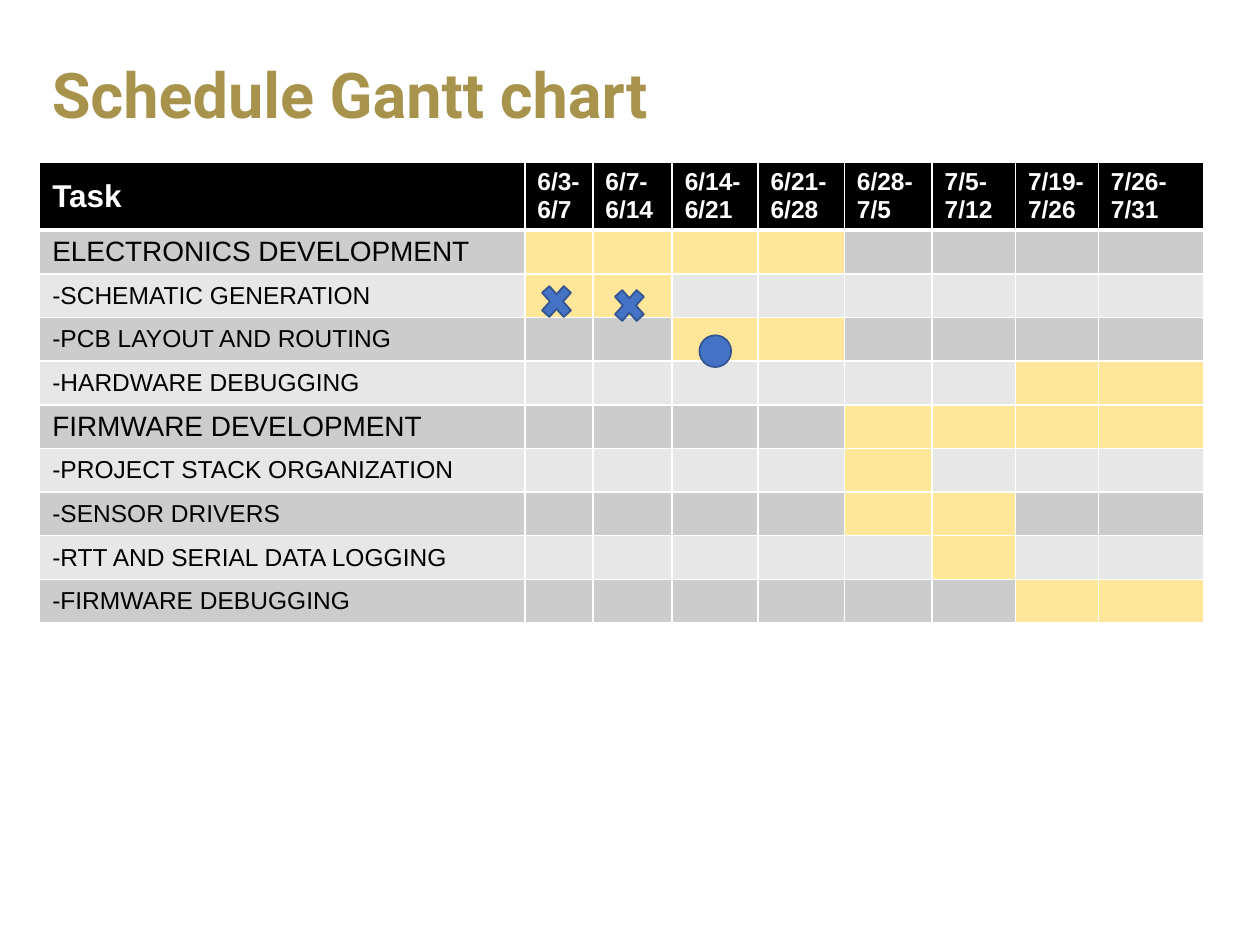
"""Build a one-slide project schedule as a Gantt table with progress markers."""
from lxml import etree
from pptx import Presentation
from pptx.dml.color import RGBColor
from pptx.enum.shapes import MSO_SHAPE
from pptx.enum.text import MSO_ANCHOR, MSO_AUTO_SIZE, PP_ALIGN
from pptx.oxml.ns import qn
from pptx.util import Cm, Pt

CROSS, DOT = MSO_SHAPE.MATH_MULTIPLY, MSO_SHAPE.OVAL
MIDDLE, LEFT, NO_FIT = MSO_ANCHOR.MIDDLE, PP_ALIGN.LEFT, MSO_AUTO_SIZE.NONE

WEEKS = ["6/3-6/7", "6/7-6/14", "6/14-6/21", "6/21-6/28",
         "6/28-7/5", "7/5-7/12", "7/19-7/26", "7/26-7/31"]
TASKS = [
    ("ELECTRONICS DEVELOPMENT", 1, 4),
    ("-SCHEMATIC GENERATION", 1, 2),
    ("-PCB LAYOUT AND ROUTING", 3, 4),
    ("-HARDWARE DEBUGGING", 7, 8),
    ("FIRMWARE DEVELOPMENT", 5, 8),
    ("-PROJECT STACK ORGANIZATION", 5, 5),
    ("-SENSOR DRIVERS", 5, 6),
    ("-RTT AND SERIAL DATA LOGGING", 6, 6),
    ("-FIRMWARE DEBUGGING", 7, 8),
]
WIDTHS = [9.78, 1.37, 1.6, 1.73, 1.74, 1.77, 1.68, 1.67, 2.13]
HEADER_HEIGHT, ROW_HEIGHT = 1.37, 0.88
MARKERS = [
    (CROSS, 10.8, 5.61, 0.84, 0.94),
    (CROSS, 12.27, 5.69, 0.84, 0.94),
    (DOT, 14.1, 6.76, 0.64, 0.64),
]


def color(value):
    return RGBColor.from_string(value)


class GanttSlide:
    """Holds the style and the current slide."""

    title_font, body_font = "Roboto", "Arial"
    gold, white, black = "A7934B", "FFFFFF", "000000"
    bands = ("CCCCCC", "E7E7E7")
    active, marker_fill, marker_line = "FFE699", "4472C4", "325491"

    def __init__(self, deck):
        self.page = deck.slides.add_slide(deck.slide_layouts[5])

    def add_span(self, para, text, size, font, ink, bold):
        span = para.add_run()
        span.text = text
        span.font.size = Pt(size)
        span.font.name = font
        span.font.bold = bold
        span.font.color.rgb = color(ink)

    def title(self, text, left, top, width, height):
        box = self.page.shapes.title
        box.left, box.top, box.width, box.height = map(Cm, (left, top, width, height))
        frame = box.text_frame
        frame.auto_size = NO_FIT
        frame.vertical_anchor = MIDDLE
        para = frame.paragraphs[0]
        para.alignment = LEFT
        para.line_spacing = 0.9
        self.add_span(para, text, 36, self.title_font, self.gold, True)

    def borders(self, cell, top, bottom):
        properties = cell._tc.get_or_add_tcPr()
        for side, points in (("L", 1), ("R", 1), ("T", top), ("B", bottom)):
            line = etree.SubElement(properties, qn(f"a:ln{side}"), w=str(Pt(points)))
            fill = etree.SubElement(line, qn("a:solidFill"))
            etree.SubElement(fill, qn("a:srgbClr"), val=self.white)

    def cell(self, cell, fill, top=1, bottom=1):
        self.borders(cell, top, bottom)
        cell.fill.solid()
        cell.fill.fore_color.rgb = color(fill)
        cell.vertical_anchor = MIDDLE
        cell.margin_top = cell.margin_bottom = Cm(0.05)
        return cell.text_frame.paragraphs[0]

    def schedule(self, left, top):
        height = HEADER_HEIGHT + ROW_HEIGHT * len(TASKS)
        table = self.page.shapes.add_table(
            len(TASKS) + 1, len(WIDTHS), Cm(left), Cm(top),
            Cm(sum(WIDTHS)), Cm(height)).table
        for column, width in zip(table.columns, WIDTHS):
            column.width = Cm(width)
        for index, row in enumerate(table.rows):
            row.height = Cm(ROW_HEIGHT if index else HEADER_HEIGHT)
        for index, text in enumerate(["Task"] + WEEKS):
            para = self.cell(table.cell(0, index), self.black, bottom=3)
            size = 14 if index else 18
            self.add_span(para, text, size, self.body_font, self.white, True)
        for row, (task, first, last) in enumerate(TASKS, 1):
            band = self.bands[(row - 1) % 2]
            edge = 3 if row == 1 else 1
            para = self.cell(table.cell(row, 0), band, top=edge)
            size = 14 if task.startswith("-") else 16
            self.add_span(para, task, size, self.body_font, self.black, False)
            for week in range(1, len(WIDTHS)):
                fill = self.active if first <= week <= last else band
                self.cell(table.cell(row, week), fill, top=edge)

    def marker(self, kind, left, top, width, height):
        shape = self.page.shapes.add_shape(kind, *map(Cm, (left, top, width, height)))
        shape.shadow.inherit = False
        shape.fill.solid()
        shape.fill.fore_color.rgb = color(self.marker_fill)
        shape.line.color.rgb = color(self.marker_line)
        shape.line.width = Pt(1)


def main():
    deck = Presentation()
    deck.slide_width, deck.slide_height = Cm(25.4), Cm(19.05)
    gantt = GanttSlide(deck)
    gantt.title("Schedule Gantt chart", 0.79, 0.56, 23.83, 2.82)
    gantt.schedule(0.8, 3.27)
    for marker in MARKERS:
        gantt.marker(*marker)
    deck.save("out.pptx")


if __name__ == "__main__":
    main()
